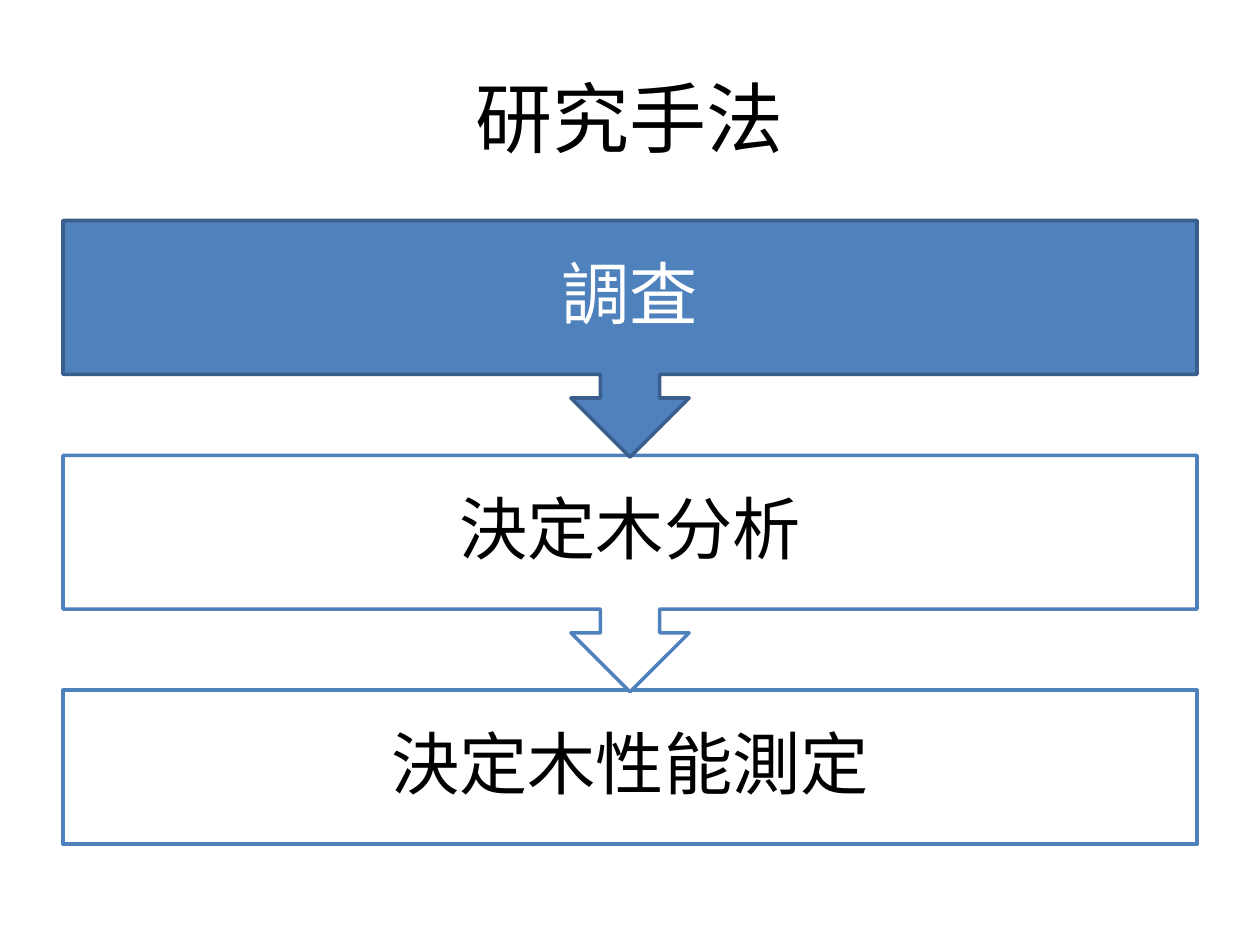
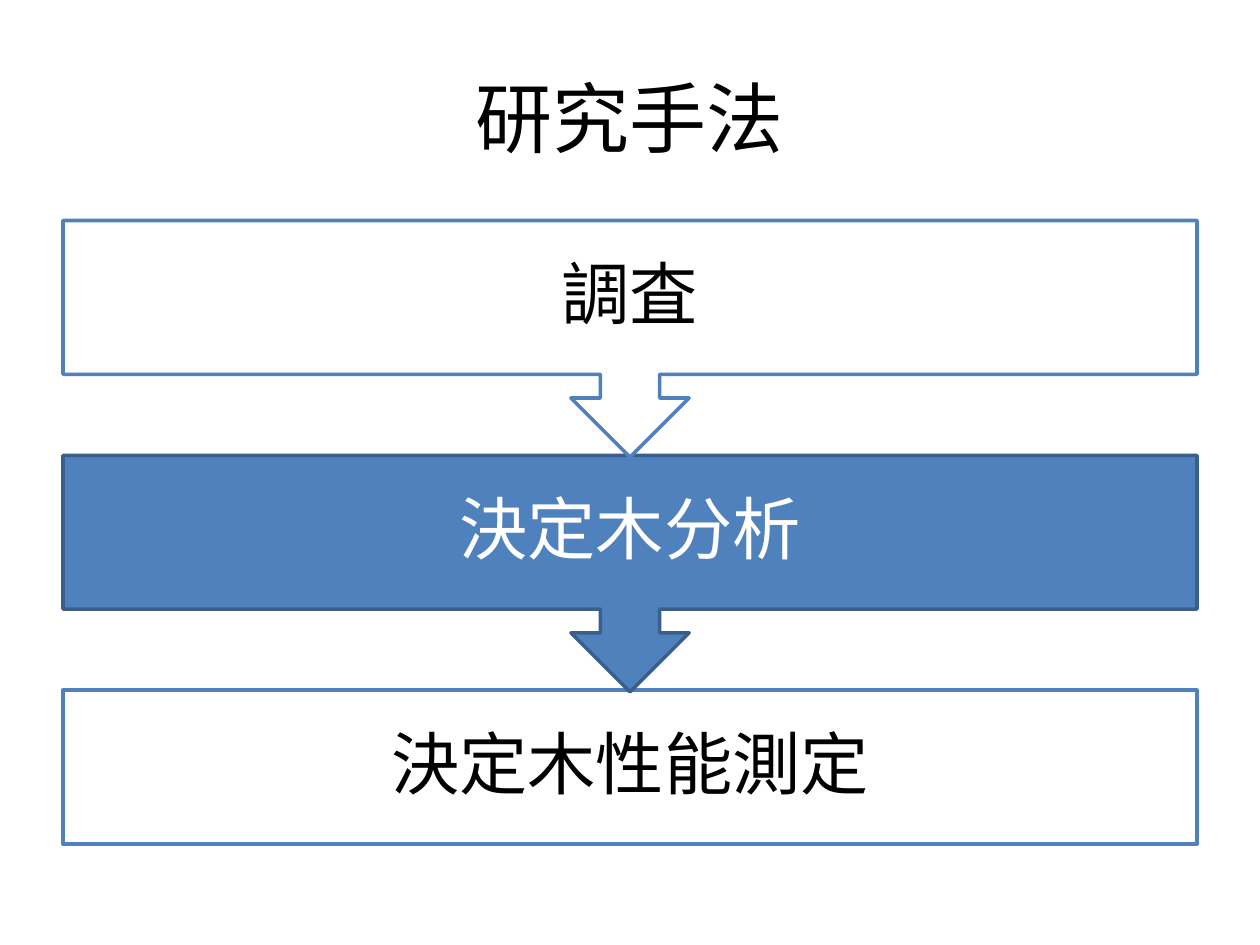
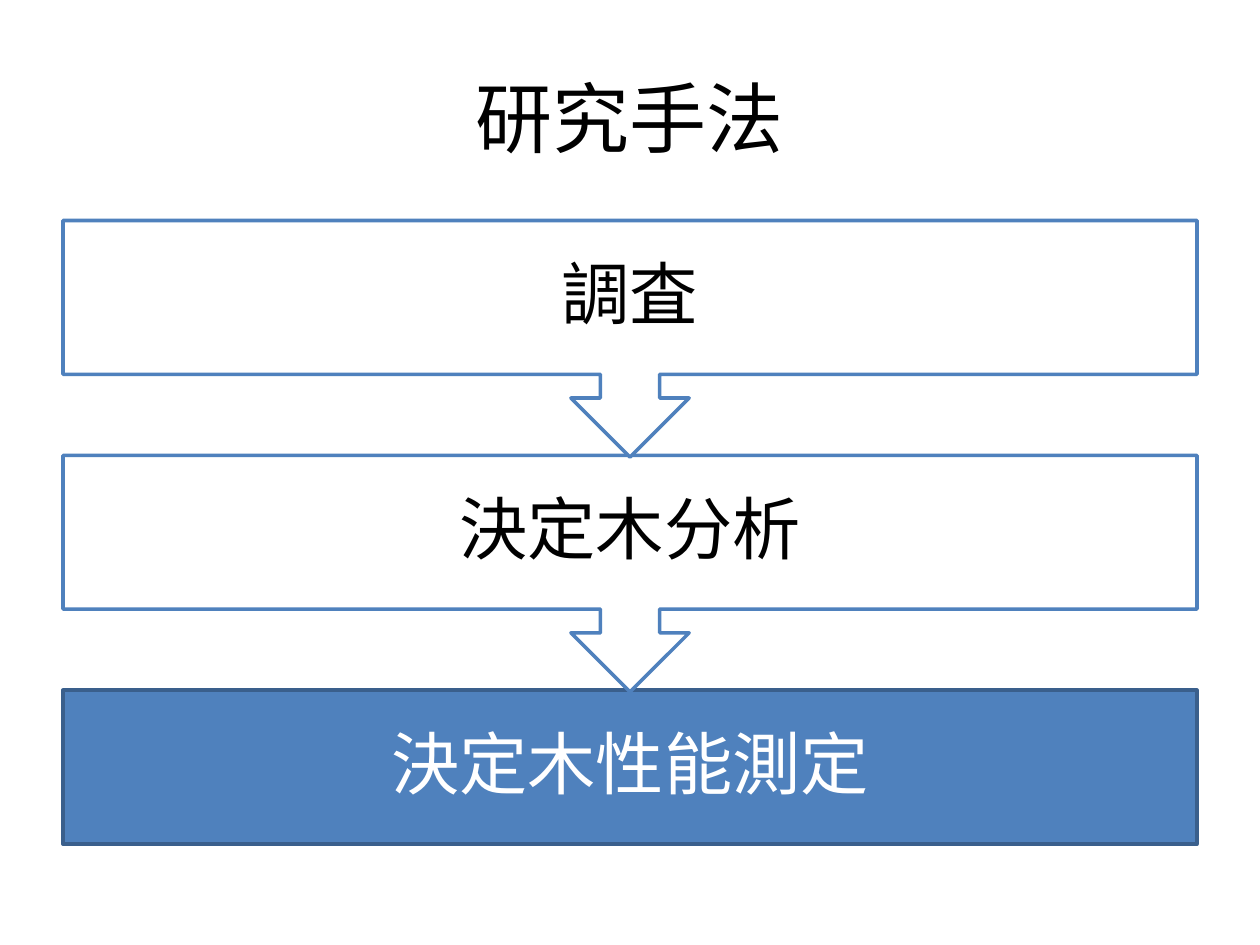
from pptx import Presentation
from pptx.dml.color import RGBColor
from pptx.enum.shapes import MSO_SHAPE
from pptx.enum.text import MSO_ANCHOR, PP_ALIGN
from pptx.util import Pt

FONT = "Calibri"
BLACK, WHITE, BLUE, DARK_BLUE = "000000", "FFFFFF", "4F81BD", "3A5F8C"
STEPS = ["調査", "決定木分析", "決定木性能測定"]
LEFT, TOP, WIDTH = 36, 126, 648
BOX_HEIGHT, CALLOUT_HEIGHT, STEP_PITCH = 88, 135.2, 134.2
INSET = 21.6


def color(hex_value):
    return RGBColor.from_string(hex_value)


def format_text(frame, size, hex_value):
    frame.word_wrap = True
    frame.vertical_anchor = MSO_ANCHOR.MIDDLE
    paragraph = frame.paragraphs[0]
    paragraph.alignment = PP_ALIGN.CENTER
    font = paragraph.runs[0].font
    font.name = FONT
    font.size = Pt(size)
    font.color.rgb = color(hex_value)


prs = Presentation()
prs.slide_width, prs.slide_height = Pt(720), Pt(540)

for current in range(len(STEPS)):
    slide = prs.slides.add_slide(prs.slide_layouts[5])
    heading = slide.shapes.title
    heading.left, heading.top = Pt(LEFT), Pt(21.6)
    heading.width, heading.height = Pt(WIDTH), Pt(90)
    heading.text_frame.text = "研究手法"
    format_text(heading.text_frame, 44, BLACK)

    flow = slide.shapes.add_group_shape()
    for index, step in reversed(list(enumerate(STEPS))):
        top = TOP + index * STEP_PITCH
        active = index == current
        is_last = index == len(STEPS) - 1
        outline = MSO_SHAPE.RECTANGLE if is_last else MSO_SHAPE.UP_ARROW_CALLOUT
        height = BOX_HEIGHT if is_last else CALLOUT_HEIGHT

        stage = flow.shapes.add_shape(outline, Pt(LEFT), Pt(top), Pt(WIDTH), Pt(height))
        stage.rotation = 0 if is_last else 180
        stage.shadow.inherit = False
        stage.fill.solid()
        stage.fill.fore_color.rgb = color(BLUE if active else WHITE)
        stage.line.color.rgb = color(DARK_BLUE if active else BLUE)
        stage.line.width = Pt(2)

        label = flow.shapes.add_textbox(Pt(LEFT), Pt(top), Pt(WIDTH), Pt(BOX_HEIGHT))
        frame = label.text_frame
        frame.margin_left = frame.margin_right = Pt(INSET)
        frame.margin_top = frame.margin_bottom = Pt(INSET)
        frame.text = step
        frame.paragraphs[0].line_spacing = 0.9
        format_text(frame, 39, WHITE if active else BLACK)

prs.save("out.pptx")
